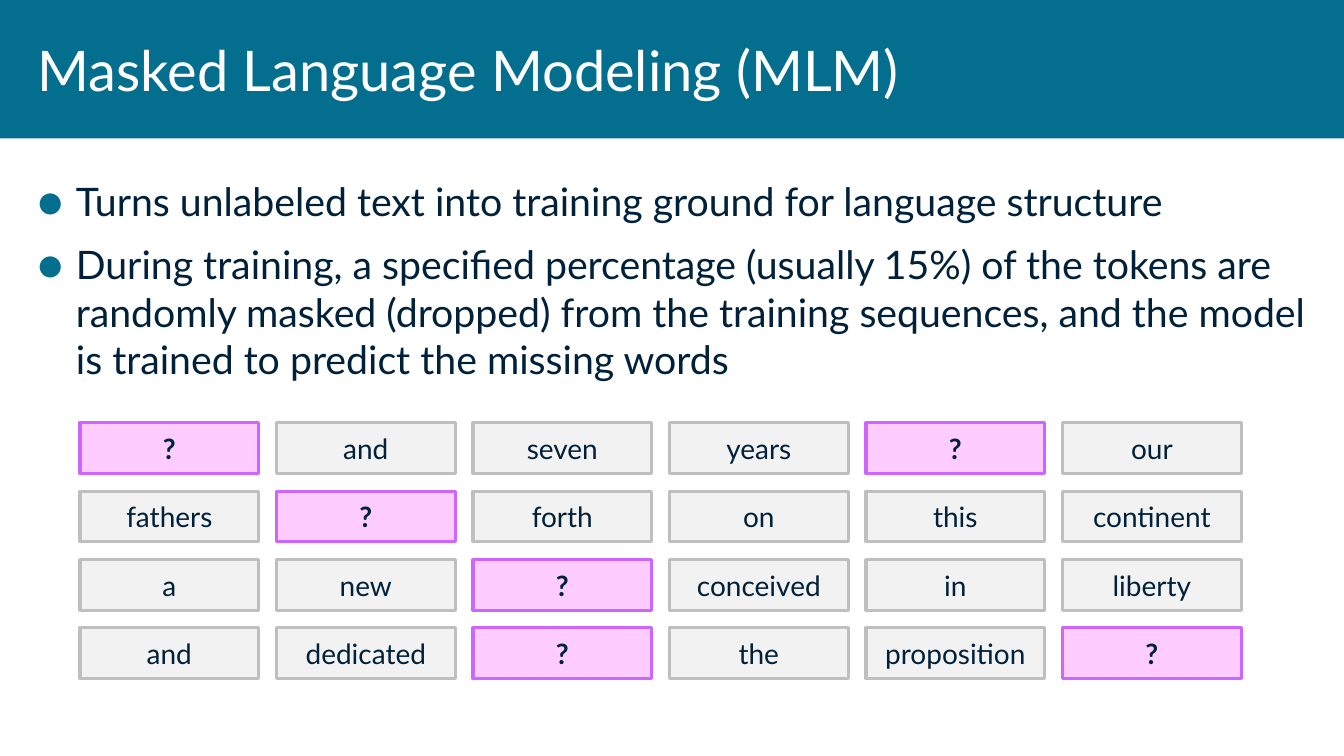
import pptx
import pptx.util
import pptx.dml.color
import pptx.enum.shapes
import pptx.enum.text
import pptx.oxml.ns
import lxml.etree

Pt = pptx.util.Pt
RGBColor = pptx.dml.color.RGBColor
ALIGN = pptx.enum.text.PP_ALIGN
MIDDLE = pptx.enum.text.MSO_ANCHOR.MIDDLE
RECTANGLE = pptx.enum.shapes.MSO_SHAPE.RECTANGLE

TEAL = RGBColor(0x04, 0x6E, 0x8F)
NAVY = RGBColor(0x00, 0x21, 0x39)
WHITE = RGBColor(0xFF, 0xFF, 0xFF)
TOKEN_FILL = RGBColor(0xF2, 0xF2, 0xF2)
TOKEN_EDGE = RGBColor(0xBF, 0xBF, 0xBF)
MASK_FILL = RGBColor(0xFF, 0xCC, 0xFF)
MASK_EDGE = RGBColor(0xCC, 0x66, 0xFF)

FONT = "Lato"
SLIDE_WIDTH, SLIDE_HEIGHT = 979.2, 550.8
BANNER_HEIGHT = 100.8
MARGIN = 20.2
MASK = "?"

TITLE = "Masked Language Modeling (MLM)"
POINTS = [
    "Turns unlabeled text into training ground for language structure",
    "During training, a specified percentage (usually 15%) of the tokens are "
    "randomly masked (dropped) from the training sequences, and the model "
    "is trained to predict the missing words",
]
TOKEN_ROWS = [
    [MASK, "and", "seven", "years", MASK, "our"],
    ["fathers", MASK, "forth", "on", "this", "continent"],
    ["a", "new", MASK, "conceived", "in", "liberty"],
    ["and", "dedicated", MASK, "the", "proposition", MASK],
]


def set_font(paragraph, size, color, bold=False):
    paragraph.font.name = FONT
    paragraph.font.size = Pt(size)
    paragraph.font.color.rgb = color
    paragraph.font.bold = bold


def add_rectangle(slide, left, top, width, height, fill):
    rectangle = slide.shapes.add_shape(
        RECTANGLE, Pt(left), Pt(top), Pt(width), Pt(height))
    rectangle.shadow.inherit = False
    rectangle.fill.solid()
    rectangle.fill.fore_color.rgb = fill
    return rectangle


def add_text_frame(slide, left, top, width, height):
    frame = slide.shapes.add_textbox(
        Pt(left), Pt(top), Pt(width), Pt(height)).text_frame
    frame.word_wrap = True
    return frame


def add_bullet(paragraph, indent):
    properties = paragraph._p.get_or_add_pPr()
    properties.set("marL", str(Pt(indent)))
    properties.set("indent", str(-Pt(indent)))
    qn = pptx.oxml.ns.qn
    color = lxml.etree.SubElement(properties, qn("a:buClr"))
    lxml.etree.SubElement(color, qn("a:srgbClr"), val=str(TEAL))
    lxml.etree.SubElement(properties, qn("a:buSzPct"), val="110000")
    lxml.etree.SubElement(properties, qn("a:buFont"), typeface=FONT)
    lxml.etree.SubElement(properties, qn("a:buChar"), char="●")


def add_banner(slide, left, top, width, height):
    banner = add_rectangle(slide, left, top, width, height, TEAL)
    banner.line.fill.background()
    frame = add_text_frame(slide, left + MARGIN, top, width - 2 * MARGIN, height)
    frame.vertical_anchor = MIDDLE
    title = frame.paragraphs[0]
    title.text = TITLE
    set_font(title, 40.8, WHITE)


def add_points(slide, left, top, width, height):
    frame = add_text_frame(slide, left, top, width, height)
    for index, text in enumerate(POINTS):
        point = frame.add_paragraph() if index else frame.paragraphs[0]
        point.text = text
        point.space_after = Pt(12.2)
        add_bullet(point, 28)
        set_font(point, 28.6, NAVY)


def add_token(slide, left, top, width, height, word):
    masked = word == MASK
    token = add_rectangle(slide, left, top, width, height,
                          MASK_FILL if masked else TOKEN_FILL)
    token.line.color.rgb = MASK_EDGE if masked else TOKEN_EDGE
    token.line.width = Pt(2.25)
    token.text_frame.vertical_anchor = MIDDLE
    label = token.text_frame.paragraphs[0]
    label.text = word
    label.alignment = ALIGN.CENTER
    set_font(label, 20.4, NAVY, bold=masked)


def add_token_grid(slide, left, top, width, height):
    gap = 13
    columns, rows = len(TOKEN_ROWS[0]), len(TOKEN_ROWS)
    token_width = (width - gap * (columns - 1)) / columns
    token_height = (height - gap * (rows - 1)) / rows
    for row, words in enumerate(TOKEN_ROWS):
        for column, word in enumerate(words):
            add_token(slide,
                      left + column * (token_width + gap),
                      top + row * (token_height + gap),
                      token_width, token_height, word)


def main():
    presentation = pptx.Presentation()
    presentation.slide_width = Pt(SLIDE_WIDTH)
    presentation.slide_height = Pt(SLIDE_HEIGHT)
    slide = presentation.slides.add_slide(presentation.slide_layouts[6])

    # Title banner
    add_banner(slide, 0, 0, SLIDE_WIDTH, BANNER_HEIGHT)
    # Bullet points
    add_points(slide, MARGIN, 125.3, SLIDE_WIDTH - 2 * MARGIN, 402.5)
    # Token sequence with masked words
    add_token_grid(slide, 58.3, 308, 846, 186.4)

    presentation.save("out.pptx")


if __name__ == "__main__":
    main()
